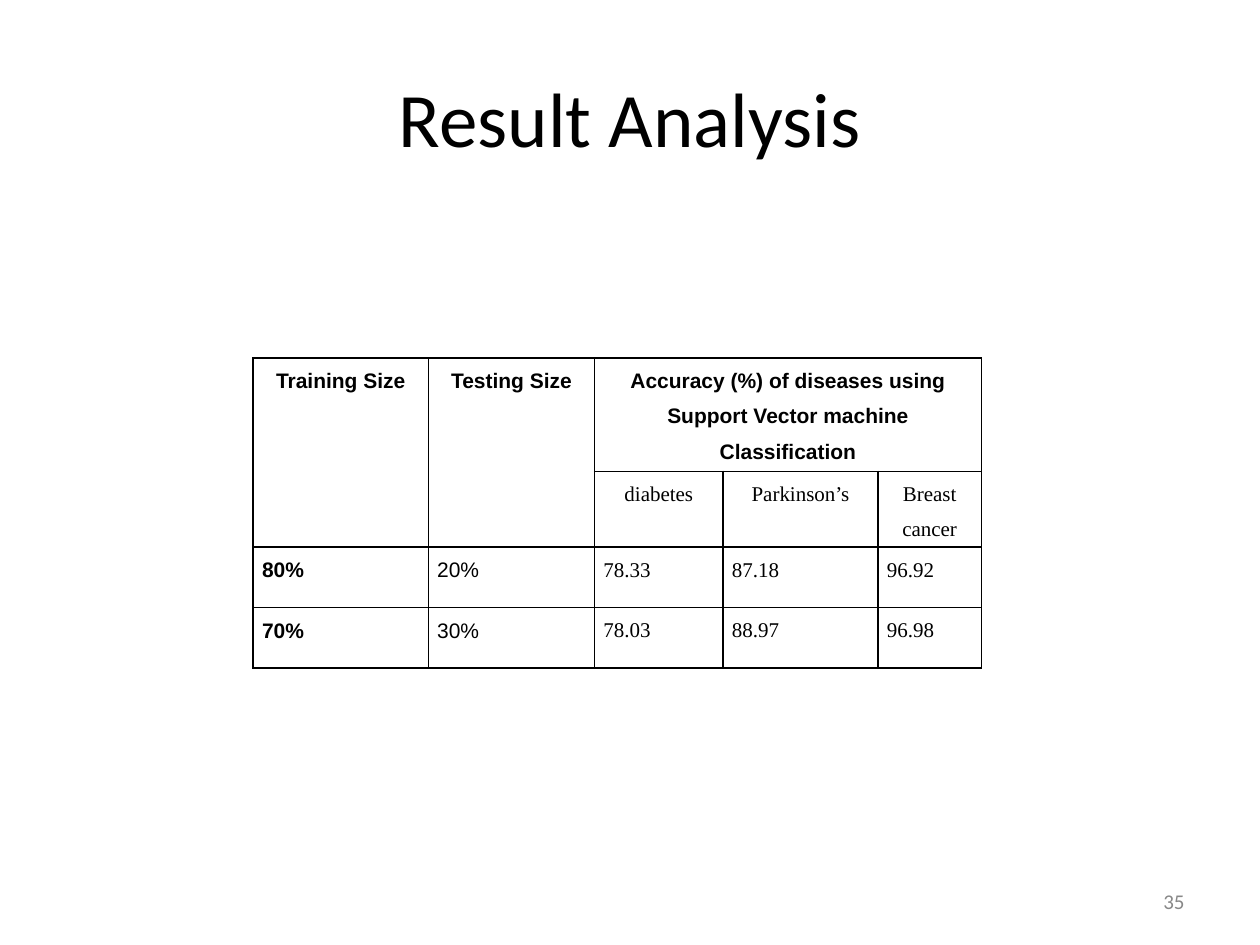
from lxml.etree import SubElement
from pptx import Presentation
from pptx.dml.color import RGBColor
from pptx.enum.text import MSO_ANCHOR, PP_ALIGN
from pptx.oxml.ns import qn
from pptx.util import Inches, Pt

COLUMN_WIDTHS = [1.39, 1.32, 1.02, 1.23, 0.82]
ROW_HEIGHTS = [0.84, 0.56, 0.48, 0.48]
HEADER_ROWS = 2
SIZE_COLUMNS = 2
RESULTS = [
    ["Training Size", "Testing Size",
     "Accuracy (%) of diseases using Support Vector machine Classification", "", ""],
    ["", "", "diabetes", "Parkinson’s", "Breast cancer"],
    ["80%", "20%", "78.33", "87.18", "96.92"],
    ["70%", "30%", "78.03", "88.97", "96.98"],
]
MERGES = [((0, 0), (1, 0)), ((0, 1), (1, 1)), ((0, 2), (0, 4))]


def rgb(value):
    return RGBColor.from_string(value)


def apply(target, values):
    for name, value in values.items():
        setattr(target, name, value)


class SlideBuilder:
    ink = "000000"
    paper = "FFFFFF"
    muted = "888888"
    heading_font = "Calibri"
    cell_margins = {"margin_left": Inches(0.07), "margin_right": Inches(0.07),
                    "margin_top": 0, "margin_bottom": 0}
    cell_spacing = {"line_spacing": 1.5, "space_after": Pt(12)}

    def __init__(self, slide):
        self.slide = slide

    def add_text(self, frame, text, size, font, color, align, bold=False):
        paragraph = frame.paragraphs[0]
        paragraph.alignment = align
        run = paragraph.add_run()
        run.text = text
        apply(run.font, {"size": Pt(size), "name": font, "bold": bold})
        run.font.color.rgb = rgb(color)
        return paragraph

    def title(self, text, left, top, width, height):
        heading = self.slide.shapes.title
        apply(heading, {"left": Inches(left), "top": Inches(top),
                        "width": Inches(width), "height": Inches(height)})
        heading.text_frame.vertical_anchor = MSO_ANCHOR.MIDDLE
        self.add_text(heading.text_frame, text, 44, self.heading_font, self.ink, PP_ALIGN.CENTER)

    def page_number(self, text, left, top, width, height):
        frame = self.slide.shapes.add_textbox(
            Inches(left), Inches(top), Inches(width), Inches(height)).text_frame
        apply(frame, {"word_wrap": True, "vertical_anchor": MSO_ANCHOR.MIDDLE})
        self.add_text(frame, text, 12, self.heading_font, self.muted, PP_ALIGN.RIGHT)

    def border(self, cell):
        properties = cell._tc.get_or_add_tcPr()
        for side in ("a:lnL", "a:lnR", "a:lnT", "a:lnB"):
            line = SubElement(properties, qn(side), w=str(Pt(1)))
            SubElement(SubElement(line, qn("a:solidFill")), qn("a:srgbClr"), val=self.ink)

    def cell(self, cell, text, font, align, bold):
        apply(cell, self.cell_margins)
        self.border(cell)
        cell.fill.solid()
        cell.fill.fore_color.rgb = rgb(self.paper)
        if text:
            paragraph = self.add_text(cell.text_frame, text, 12, font, self.ink, align, bold)
            apply(paragraph, self.cell_spacing)

    def results_table(self, left, top):
        table = self.slide.shapes.add_table(
            len(ROW_HEIGHTS), len(COLUMN_WIDTHS), Inches(left), Inches(top),
            Inches(sum(COLUMN_WIDTHS)), Inches(sum(ROW_HEIGHTS))).table
        apply(table, {"first_row": False, "horz_banding": False})
        for column, width in zip(table.columns, COLUMN_WIDTHS):
            column.width = Inches(width)
        for row, height in zip(table.rows, ROW_HEIGHTS):
            row.height = Inches(height)
        for first, last in MERGES:
            table.cell(*first).merge(table.cell(*last))
        for r, texts in enumerate(RESULTS):
            for c, text in enumerate(texts):
                font = "Arial" if r == 0 or c < SIZE_COLUMNS else "Times New Roman"
                align = PP_ALIGN.CENTER if r < HEADER_ROWS else PP_ALIGN.JUSTIFY
                self.cell(table.cell(r, c), text, font, align, bold=r == 0 or c == 0)


def main():
    deck = Presentation()
    apply(deck, {"slide_width": Inches(10), "slide_height": Inches(7.5)})
    title_only = deck.slide_layouts[5]
    builder = SlideBuilder(deck.slides.add_slide(title_only))
    builder.title("Result Analysis", 0.5, 0.3, 9, 1.25)
    builder.page_number("35", 7.17, 6.95, 2.33, 0.4)
    builder.results_table(2.01, 2.84)
    deck.save("out.pptx")


if __name__ == "__main__":
    main()
